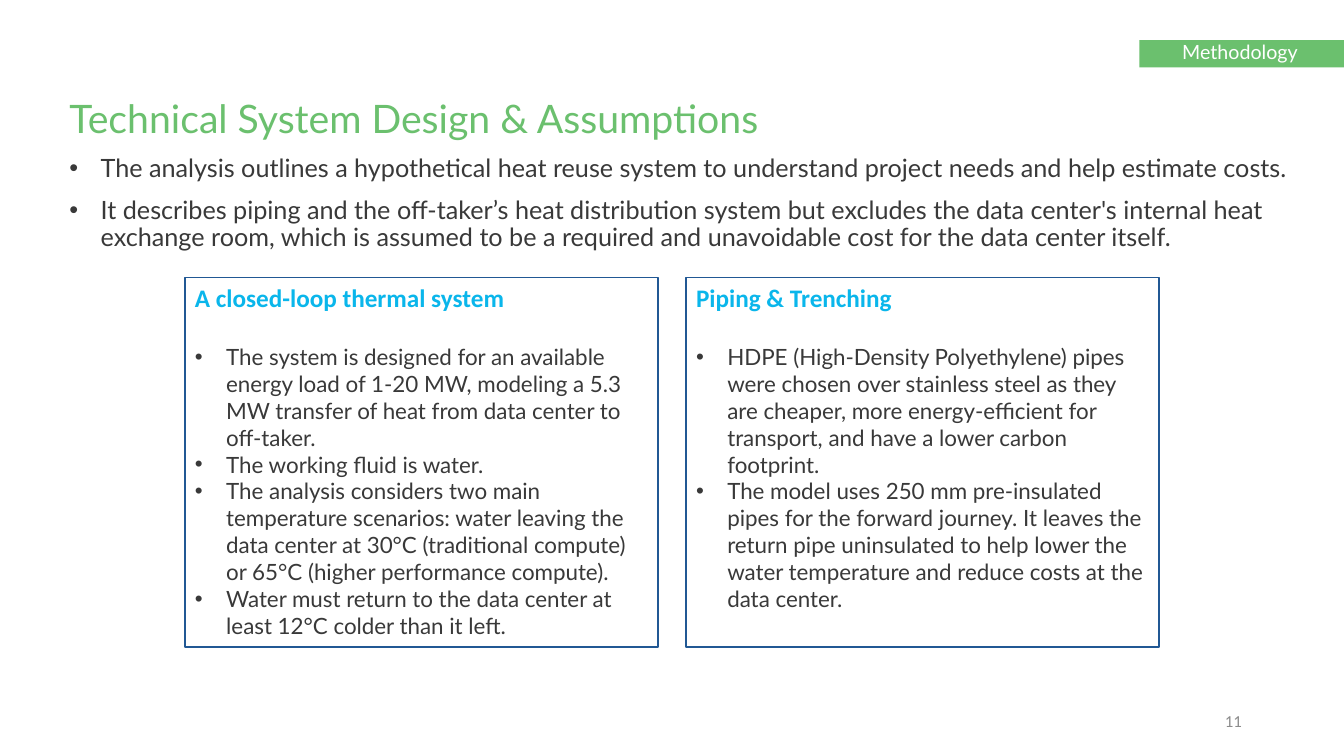
import pptx
import pptx.util
import pptx.dml.color
import pptx.enum.shapes
import pptx.enum.text
import pptx.oxml
import pptx.oxml.ns

RGB = pptx.dml.color.RGBColor
WHITE = RGB(0xFF, 0xFF, 0xFF)
GREEN = RGB(0x6B, 0xC0, 0x6E)
BLUE = RGB(0x21, 0x58, 0x94)
CYAN = RGB(0x0A, 0xB6, 0xEB)
INK = RGB(0x39, 0x39, 0x39)
GREY = RGB(0x8C, 0x8C, 0x8C)
ANCHOR = pptx.enum.text.MSO_ANCHOR
ALIGN = pptx.enum.text.PP_ALIGN

TITLE = "Technical System Design & Assumptions"
INTRO = [
    "The analysis outlines a hypothetical heat reuse system to understand project needs "
    "and help estimate costs.",
    "It describes piping and the off-taker’s heat distribution system but excludes the data "
    "center's internal heat exchange room, which is assumed to be a required and unavoidable "
    "cost for the data center itself.",
]
PANELS = [
    ("A closed-loop thermal system", [
        "The system is designed for an available energy load of 1-20 MW, modeling a 5.3 MW "
        "transfer of heat from data center to off-taker.",
        "The working fluid is water.",
        "The analysis considers two main temperature scenarios: water leaving the data center "
        "at 30°C (traditional compute) or 65°C (higher performance compute).",
        "Water must return to the data center at least 12°C colder than it left.",
    ]),
    ("Piping & Trenching", [
        "HDPE (High-Density Polyethylene) pipes were chosen over stainless steel as they are "
        "cheaper, more energy-efficient for transport, and have a lower carbon footprint.",
        "The model uses 250 mm pre-insulated pipes for the forward journey. It leaves the "
        "return pipe uninsulated to help lower the water temperature and reduce costs at the "
        "data center.",
    ]),
]
PANEL_WIDTH, PANEL_GAP = 35.18, 2.1


class Deck:
    """Style and current slide; places are percentages of the slide's size."""

    body_font, head_font = "Lato", "Calibri"
    indent = pptx.util.Inches(0.31)

    def __init__(self, prs):
        self.width, self.height = prs.slide_width, prs.slide_height
        self.s = prs.slides.add_slide(prs.slide_layouts[6])

    def place(self, x, y, w, h):
        return (int(x * self.width / 100), int(y * self.height / 100),
                int(w * self.width / 100), int(h * self.height / 100))

    def rect(self, *at, fill=None, line=None):
        sp = self.s.shapes.add_shape(pptx.enum.shapes.MSO_SHAPE.RECTANGLE, *self.place(*at))
        sp.shadow.inherit = False
        if fill is None:
            sp.fill.background()
        else:
            sp.fill.solid()
            sp.fill.fore_color.rgb = fill
        if line is None:
            sp.line.fill.background()
        else:
            sp.line.color.rgb = line
            sp.line.width = pptx.util.Pt(1)
        return self.frame(sp)

    def text_box(self, *at, anchor=ANCHOR.TOP):
        return self.frame(self.s.shapes.add_textbox(*self.place(*at)), anchor)

    def frame(self, sp, anchor=ANCHOR.TOP):
        tf = sp.text_frame
        tf.word_wrap = True
        tf.vertical_anchor = anchor
        return tf

    def paragraph(self, tf, text, size, color, font=body_font, bold=False, bullet=False,
                  align=ALIGN.LEFT, spacing=1.0, before=0):
        """Fill the empty first paragraph, or append one."""
        p = tf.paragraphs[0] if not tf.text else tf.add_paragraph()
        p.alignment = align
        p.line_spacing = spacing
        p.space_before = pptx.util.Pt(before)
        if bullet:
            pPr = p._p.get_or_add_pPr()
            pPr.set("marL", str(self.indent))
            pPr.set("indent", str(-self.indent))
            ns = pptx.oxml.ns.nsdecls("a")
            pPr.append(pptx.oxml.parse_xml(f'<a:buFont {ns} typeface="Arial"/>'))
            pPr.append(pptx.oxml.parse_xml(f'<a:buChar {ns} char="•"/>'))
        r = p.add_run()
        r.text = text
        r.font.name = font
        r.font.size = pptx.util.Pt(size)
        r.font.bold = bold
        r.font.color.rgb = color

    def panel(self, x, heading, points):
        tf = self.rect(x, 36.67, PANEL_WIDTH, 48.93, line=BLUE)
        self.paragraph(tf, heading, 18, CYAN, font=self.head_font, bold=True)
        for i, point in enumerate(points):
            self.paragraph(tf, point, 16, INK, bullet=True, before=0 if i else 22)


def main():
    prs = pptx.Presentation()
    prs.slide_width = pptx.util.Inches(13.33)
    prs.slide_height = pptx.util.Inches(7.5)
    deck = Deck(prs)

    number = deck.text_box(70.65, 92.67, 22.5, 5.33, anchor=ANCHOR.MIDDLE)
    deck.paragraph(number, "11", 12, GREY, font=deck.head_font, align=ALIGN.RIGHT)

    deck.rect(84.77, 5.33, 15.23, 3.6, fill=GREEN)
    tag = deck.text_box(87.22, 4.93, 10.28, 3.2)
    deck.paragraph(tag, "Methodology", 14, WHITE, spacing=0.9)

    body = deck.text_box(4.43, 12.53, 93.15, 15.2)
    deck.paragraph(body, TITLE, 28, GREEN, spacing=0.9)
    for point in INTRO:
        deck.paragraph(body, point, 18, INK, bullet=True, spacing=0.9, before=10)

    pitch = PANEL_WIDTH + PANEL_GAP
    left = (100 - PANEL_WIDTH - pitch) / 2
    for i, (heading, points) in enumerate(PANELS):
        deck.panel(left + i * pitch, heading, points)

    prs.save("out.pptx")


if __name__ == "__main__":
    main()
